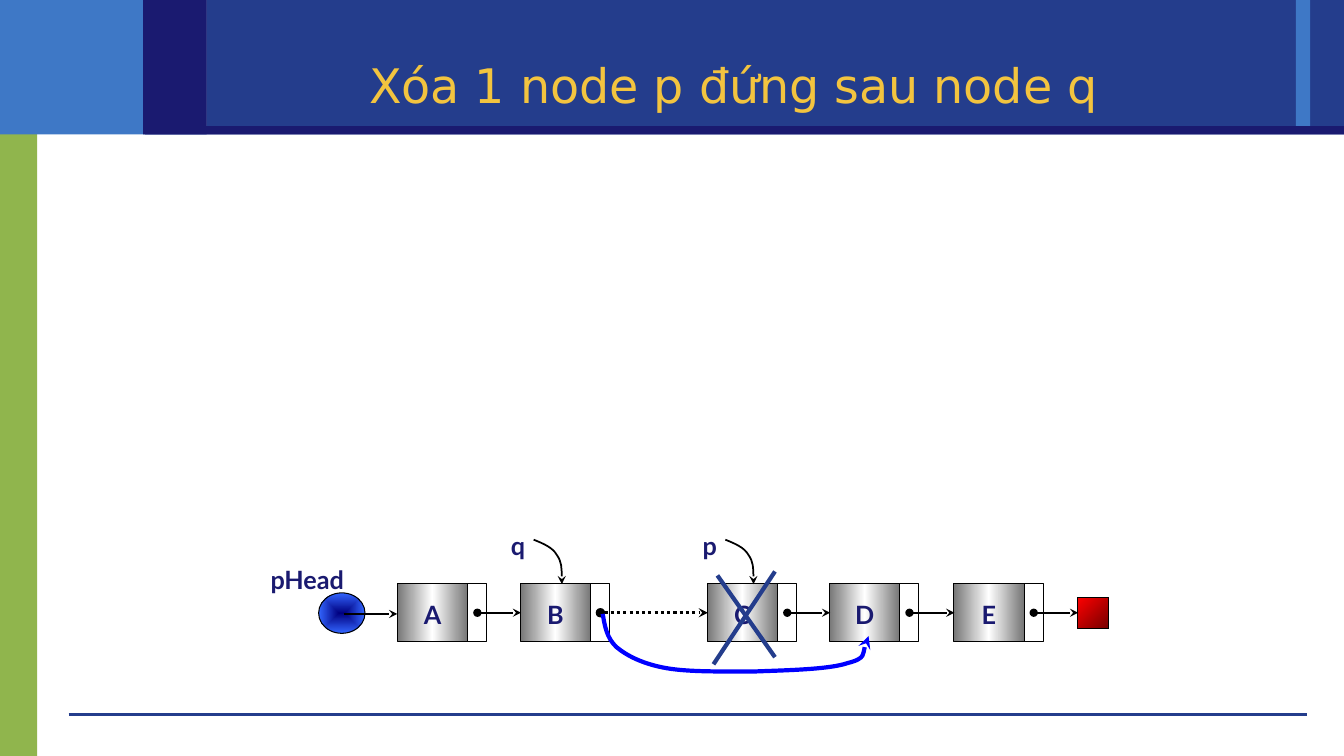
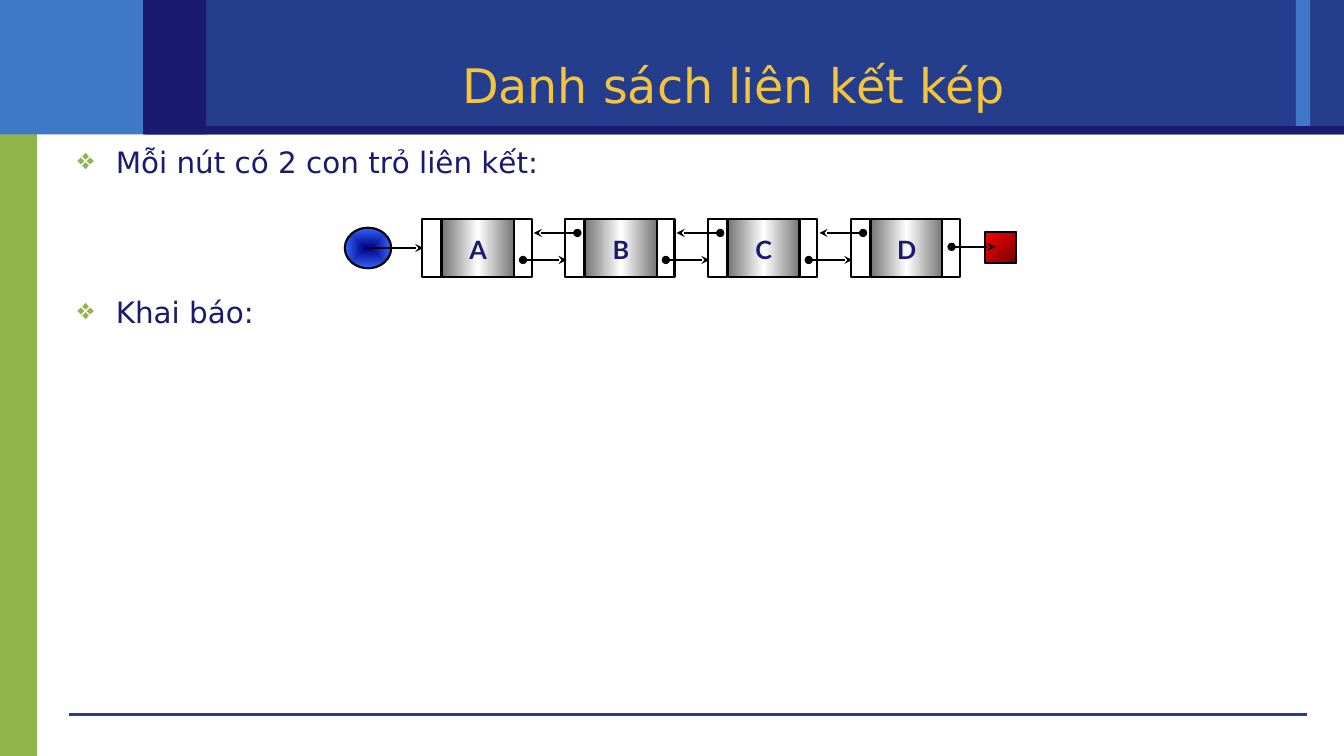
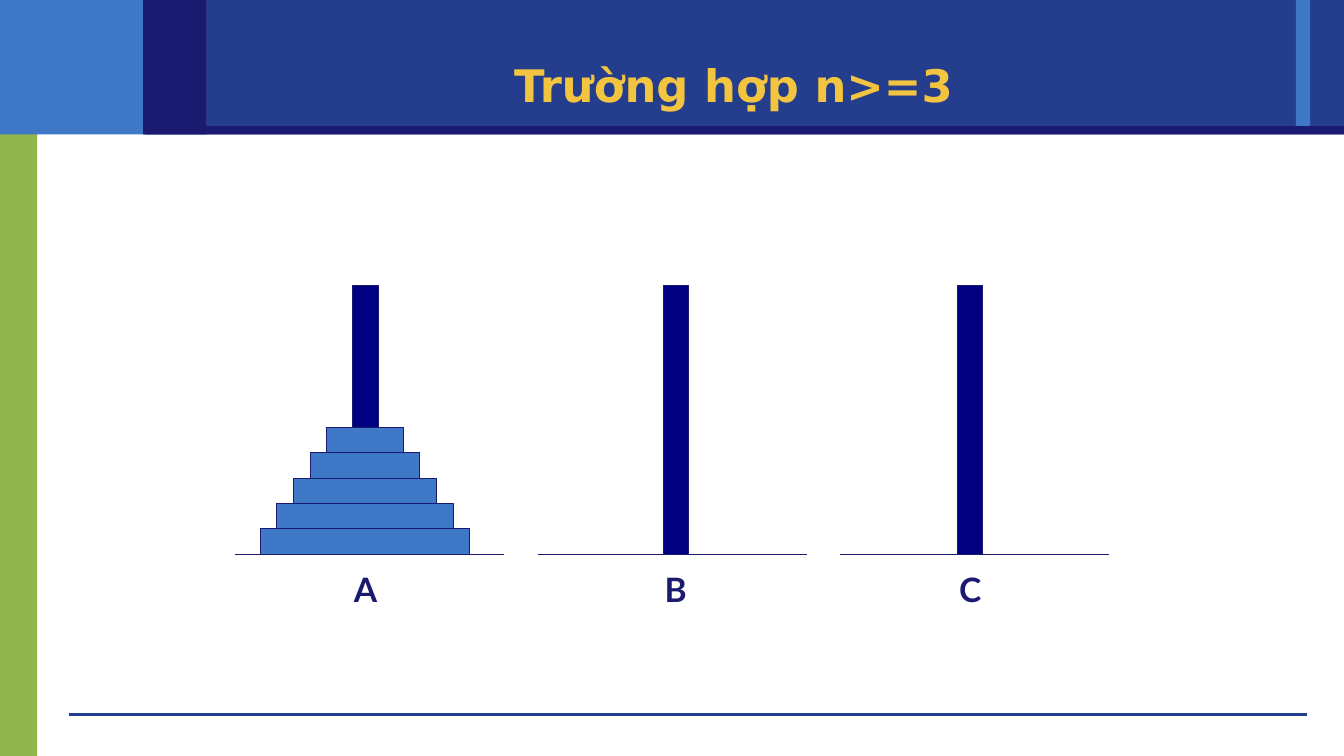
from lxml.etree import SubElement
from pptx import Presentation
from pptx.dml.color import RGBColor
from pptx.enum.dml import MSO_LINE
from pptx.enum.shapes import MSO_CONNECTOR, MSO_SHAPE
from pptx.enum.text import MSO_ANCHOR, MSO_AUTO_SIZE, PP_ALIGN
from pptx.oxml.ns import qn
from pptx.util import Cm, Pt

GREEN = RGBColor(0x90, 0xB5, 0x4D)
SKY = RGBColor(0x3E, 0x78, 0xC6)
BLUE = RGBColor(0x24, 0x3D, 0x8C)
INK = RGBColor(0x1A, 0x1A, 0x70)
GOLD = RGBColor(0xF3, 0xC4, 0x3F)
NAVY = RGBColor(0x00, 0x00, 0x80)
ROYAL = RGBColor(0x33, 0x66, 0xFF)
PURE = RGBColor(0x00, 0x00, 0xFF)
RED = RGBColor(0xFF, 0x00, 0x00)
MAROON = RGBColor(0x76, 0x00, 0x00)
GREY = RGBColor(0x76, 0x76, 0x76)
WHITE = RGBColor(0xFF, 0xFF, 0xFF)
BLACK = RGBColor(0x00, 0x00, 0x00)

SANS = "DejaVu Sans"
LATO = "Lato"
STEEL = ((0, GREY), (50, WHITE), (100, GREY))


class Deck:
    def __init__(self):
        self.file = Presentation()
        self.file.slide_width = Cm(33.87)
        self.file.slide_height = Cm(19.05)
        self.base = self.file.slide_layouts[5]
        self.page = None

    def open(self, text, size=34, bold=False):
        first = self.page is None
        self.page = self.file.slides.add_slide(self.base)
        if first:
            self.frame()
        title = self.page.shapes.title
        title.left, title.top = Cm(5.08), Cm(1.3)
        title.width, title.height = Cm(26.82), Cm(1.68)
        title.text_frame.text = text
        title.text_frame.auto_size = MSO_AUTO_SIZE.NONE
        self.style(title.text_frame, SANS, size, GOLD, bold)

    def frame(self):
        parts = [
            self.box(0, 2.72, 0.94, 16.33, GREEN),
            self.box(0, 0, 5.2, 3.39, SKY),
            self.box(5.2, 0, 28.67, 3.39, BLUE),
            self.box(32.66, 0, 0.36, 3.18, SKY),
            self.line(1.73, 18.01, 32.94, 18.01, 0, BLUE),
            self.box(3.66, 3.18, 30.21, 0.21, INK),
            self.box(3.61, 0, 1.6, 3.39, INK),
        ]
        tree = self.base.shapes.element
        for spot, part in enumerate(parts, 2):
            tree.insert(spot, part.element)

    def style(self, frame, font, size, color, bold):
        frame.vertical_anchor = MSO_ANCHOR.MIDDLE
        for para in frame.paragraphs:
            para.alignment = PP_ALIGN.CENTER
            for run in para.runs:
                run.font.name = font
                run.font.size = Pt(size)
                run.font.bold = bold
                run.font.color.rgb = color

    def box(self, x, y, w, h, fill=None, edge=None, width=0.75, kind=MSO_SHAPE.RECTANGLE):
        shape = self.page.shapes.add_shape(kind, Cm(x), Cm(y), Cm(w), Cm(h))
        shape.shadow.inherit = False
        if fill is None:
            shape.fill.background()
        else:
            shape.fill.solid()
            shape.fill.fore_color.rgb = fill
        if edge is None:
            shape.line.fill.background()
        else:
            shape.line.color.rgb = edge
            shape.line.width = Pt(width)
        return shape

    def shade(self, shape, stops, angle=None):
        shape.fill.gradient()
        grad = shape.element.spPr.find(qn("a:gradFill"))
        for child in list(grad):
            grad.remove(child)
        group = SubElement(grad, qn("a:gsLst"))
        for place, color in stops:
            stop = SubElement(group, qn("a:gs"), pos=str(place * 1000))
            SubElement(stop, qn("a:srgbClr"), val=str(color))
        if angle is None:
            burst = SubElement(grad, qn("a:path"), path="shape")
            SubElement(burst, qn("a:fillToRect"), dict.fromkeys("ltrb", "50000"))
        else:
            SubElement(grad, qn("a:lin"), ang=str(angle * 60000), scaled="0")

    def stroke(self, shape, width, color, head=None, tail=None, dash=None):
        shape.line.color.rgb = color
        shape.line.width = Pt(width)
        if dash is not None:
            shape.line.dash_style = dash
        line = shape.element.spPr.find(qn("a:ln"))
        for tag, kind in (("a:headEnd", head), ("a:tailEnd", tail)):
            if kind:
                SubElement(line, qn(tag), type=kind)

    def line(self, x1, y1, x2, y2, width, color=BLACK, head=None, tail=None, dash=None):
        link = self.page.shapes.add_connector(
            MSO_CONNECTOR.STRAIGHT, Cm(x1), Cm(y1), Cm(x2), Cm(y2))
        self.stroke(link, width, color, head, tail, dash)
        SubElement(link.element.spPr, qn("a:effectLst"))
        return link

    def arrow(self, x1, x2, y, width, head="oval", dash=None):
        self.line(x1, y, x2, y, width, head=head, tail="stealth", dash=dash)

    def curve(self, x, y, points, width, color=BLACK):
        pen = self.page.shapes.build_freeform(Cm(x), Cm(y))
        pen.add_line_segments([(Cm(x + dx), Cm(y + dy)) for dx, dy in points], close=False)
        shape = pen.convert_to_shape()
        shape.shadow.inherit = False
        shape.fill.background()
        track = shape.element.find(".//" + qn("a:path"))
        steps = track.findall(qn("a:lnTo"))
        for start in range(0, len(steps), 3):
            bend = SubElement(track, qn("a:cubicBezTo"))
            for step in steps[start:start + 3]:
                bend.append(step[0])
                track.remove(step)
        self.stroke(shape, width, color, tail="stealth")

    def label(self, x, y, w, h, text, size=18):
        frame = self.page.shapes.add_textbox(Cm(x), Cm(y), Cm(w), Cm(h)).text_frame
        frame.margin_left = frame.margin_right = 0
        frame.margin_top = frame.margin_bottom = 0
        frame.word_wrap = True
        frame.text = text
        self.style(frame, LATO, size, INK, True)

    def cell(self, x, y, w, h, text, width):
        shape = self.box(x, y, w, h, WHITE, BLACK, width)
        self.shade(shape, STEEL, 0)
        frame = shape.text_frame
        frame.margin_left = frame.margin_right = frame.margin_bottom = 0
        frame.margin_top = Cm(0.08)
        frame.text = text
        self.style(frame, LATO, 18, INK, True)

    def ends(self, x, y, stop, top, width):
        ball = self.box(x, y, 1.17, 1.02, NAVY, BLACK, width, MSO_SHAPE.OVAL)
        self.shade(ball, ((0, NAVY), (100, ROYAL)))
        block = self.box(stop, top, 0.79, 0.79, RED, BLACK, width)
        self.shade(block, ((0, RED), (100, MAROON)), 45)

    def bullets(self, x, y, w, h, items):
        frame = self.page.shapes.add_textbox(Cm(x), Cm(y), Cm(w), Cm(h)).text_frame
        frame.word_wrap = True
        frame.text = "\n".join(text for text, gap in items)
        self.style(frame, SANS, 21, INK, False)
        frame.vertical_anchor = MSO_ANCHOR.TOP
        for para, (text, gap) in zip(frame.paragraphs, items):
            para.alignment = PP_ALIGN.LEFT
            para.line_spacing = 0.9
            para.space_before = Pt(gap)
            props = para._p.get_or_add_pPr()
            props.set("marL", str(Cm(0.97)))
            props.set("indent", str(-Cm(0.97)))
            tint = SubElement(props, qn("a:buClr"))
            SubElement(tint, qn("a:srgbClr"), val=str(GREEN))
            SubElement(props, qn("a:buChar"), char="❖")


def single(deck):
    deck.open("Xóa 1 node p đứng sau node q")
    top, mid, stop = 14.71, 15.44, 27.15
    spots = [10.01, 13.11, 17.82, 20.9, 24.03]
    deck.ends(8.03, 14.94, stop, 15.06, 0.75)
    for name, x in zip("ABCDE", spots):
        deck.box(x + 1.78, top, 0.48, 1.45, WHITE, BLACK)
        deck.cell(x, top, 1.78, 1.45, name, 0.75)
    deck.arrow(8.66, spots[0], 15.47, 1.25, head=None)
    for name, x, goal in zip("ABCDE", spots, spots[1:] + [stop]):
        cut = name == "B"
        deck.arrow(x + 2.02, goal + 0.02, mid, 2.25 if cut else 1.25,
                   dash=MSO_LINE.ROUND_DOT if cut else None)
    deck.label(6.6, 14.07, 2.29, 1.07, "pHead")
    hook = [(0.25, 0.1), (0.48, 0.2), (0.58, 0.38), (0.71, 0.56), (0.71, 0.84), (0.71, 1.12)]
    for name, x in (("q", 12.37), ("p", 17.2)):
        deck.label(x, 13.13, 1.37, 1.22, name)
        deck.curve(x + 1.08, 13.6, hook, 1.25)
    bypass = [
        (0.05, 0.3), (0.1, 0.61), (0.35, 0.84),
        (0.63, 1.07), (1.04, 1.27), (1.62, 1.37),
        (2.21, 1.47), (3.1, 1.45), (3.86, 1.45),
        (4.62, 1.42), (5.71, 1.4), (6.17, 1.24),
        (6.65, 1.12), (6.6, 0.68), (6.7, 0.56),
    ]
    deck.curve(15.19, 15.47, bypass, 3, PURE)
    deck.line(18.08, 14.5, 19.53, 16.56, 3, BLUE)
    deck.line(19.53, 14.4, 17.98, 16.74, 3, BLUE)


def double(deck):
    deck.open("Danh sách liên kết kép")
    deck.bullets(1.7, 3.61, 30.48, 14.48, [("Mỗi nút có 2 con trỏ liên kết:", 0), ("Khai báo:", 84.4)])
    top, first, pitch = 5.51, 11.15, 3.6
    deck.ends(8.69, 5.74, 24.82, 5.84, 1.5)
    deck.arrow(9.3, 10.67, 6.25, 1.5, head=None)
    for spot, name in enumerate("ABCD"):
        x = first + spot * pitch
        for side in (x - 0.51, x + 1.77):
            deck.box(side, top, 0.48, 1.47, None, BLACK, 1.5)
        deck.cell(x, top, 1.8, 1.47, name, 1.5)
        deck.arrow(x + 2.03, x + 3.13, 6.22 if name == "D" else 6.55, 1.5)
        if spot:
            deck.arrow(x - 0.2, x - 1.3, 5.87, 1.5)


def tower(deck):
    deck.open("Trường hợp n>=3", 32, True)
    floor, thick = 13.97, 0.64
    for name, left, peg in (("A", 5.92, 8.89), ("B", 13.55, 16.71), ("C", 21.16, 24.13)):
        deck.line(left, floor, left + 6.78, floor, 0.75, INK)
        deck.box(peg, 7.19, thick, 6.78, NAVY, INK)
        deck.label(peg - 0.23, 14.2, 1.1, 1.3, name, 24)
    for row in range(5):
        wide = 5.28 - 0.84 * row
        deck.box(9.2 - wide / 2, floor - thick * (row + 1), wide, thick, SKY, INK)


def main():
    deck = Deck()
    single(deck)
    double(deck)
    tower(deck)
    deck.file.save("out.pptx")


if __name__ == "__main__":
    main()
